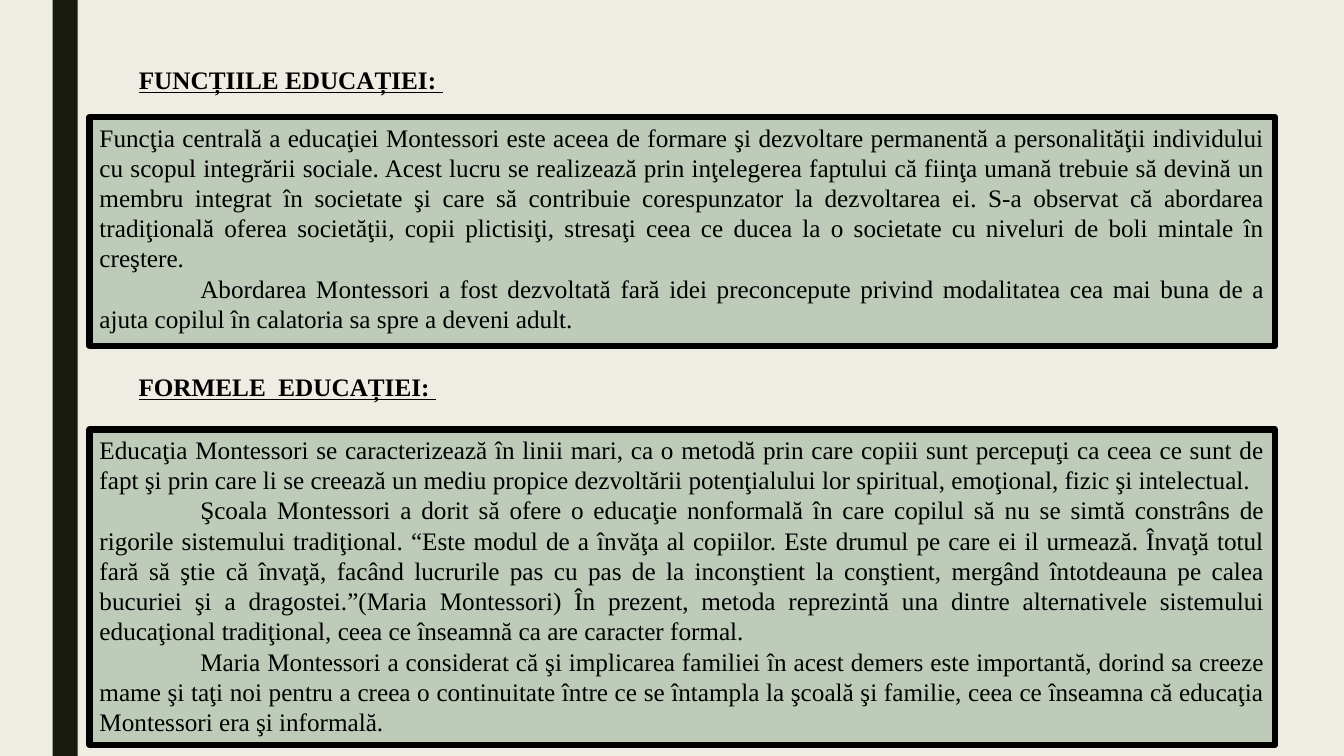
from pptx import Presentation
from pptx.dml.color import RGBColor
from pptx.enum import shapes, text
from pptx.oxml.ns import qn
from pptx.util import Pt
from lxml import etree

CREAM = RGBColor(0xEF, 0xED, 0xE3)
DARK = RGBColor(0x19, 0x1B, 0x0E)
SAGE = RGBColor(0x8D, 0xAB, 0x8E)
BLACK = RGBColor(0, 0, 0)

# heading, heading top, heading width, box top, box height, paragraphs
SECTIONS = [
    ("FUNCȚIILE EDUCAȚIEI: ", 42.5, 234, 83.5, 163.5, [
        "Funcţia centrală a educaţiei Montessori este aceea de formare şi dezvoltare permanentă a "
        "personalităţii individului cu scopul integrării sociale. Acest lucru se realizează prin "
        "inţelegerea faptului că fiinţa umană trebuie să devină un membru integrat în societate şi "
        "care să contribuie corespunzator la dezvoltarea ei. S-a observat că abordarea tradiţională "
        "oferea societăţii, copii plictisiţi, stresaţi ceea ce ducea la o societate cu niveluri de "
        "boli mintale în creştere.",
        "Abordarea Montessori a fost dezvoltată fară idei preconcepute privind modalitatea cea mai "
        "buna de a ajuta copilul în calatoria sa spre a deveni adult.",
    ]),
    ("FORMELE  EDUCAȚIEI: ", 262, 229, 306.7, 225.4, [
        "Educaţia Montessori se caracterizează în linii mari, ca o metodă prin care copiii sunt "
        "percepuţi ca ceea ce sunt de fapt şi prin care li se creează un mediu propice dezvoltării "
        "potenţialului lor spiritual, emoţional, fizic şi intelectual.",
        "Şcoala Montessori a dorit să ofere o educaţie nonformală în care copilul să nu se simtă "
        "constrâns de rigorile sistemului tradiţional. “Este modul de a învăţa al copiilor. Este "
        "drumul pe care ei il urmează. Învaţă totul fară să ştie că învaţă, facând lucrurile pas cu "
        "pas de la inconştient la conştient, mergând întotdeauna pe calea bucuriei şi a "
        "dragostei.”(Maria Montessori) În prezent, metoda reprezintă una dintre alternativele "
        "sistemului educaţional tradiţional, ceea ce înseamnă ca are caracter formal.",
        "Maria Montessori a considerat că şi implicarea familiei în acest demers este importantă, "
        "dorind sa creeze mame şi taţi noi pentru a creea o continuitate între ce se întampla la "
        "şcoală şi familie, ceea ce înseamna că educaţia Montessori era şi informală.",
    ]),
]


def add_rect(left, top, width, height, color):
    sp = slide.shapes.add_shape(shapes.MSO_SHAPE.RECTANGLE,
                                Pt(left), Pt(top), Pt(width), Pt(height))
    sp.shadow.inherit = False
    sp.fill.solid()
    sp.fill.fore_color.rgb = color
    sp.line.fill.background()
    return sp


def write(p, words, align, bold=False):
    p.text = words
    p.alignment = align
    font = p.runs[0].font
    font.name = "Times New Roman"
    font.size = Pt(18)
    font.color.rgb = BLACK
    font.bold = font.underline = bold


prs = Presentation()
prs.slide_width, prs.slide_height = Pt(960), Pt(540)
slide = prs.slides.add_slide(prs.slide_layouts[6])
slide.background.fill.solid()
slide.background.fill.fore_color.rgb = CREAM

add_rect(37.5, 0, 18, 540, DARK)

for heading, heading_top, heading_width, box_top, box_height, paragraphs in SECTIONS:
    box = add_rect(64, box_top, 846.7, box_height, SAGE)
    box.line.color.rgb = BLACK
    box.line.width = Pt(4.5)
    fill_color = box.fill._xPr.find(qn("a:solidFill"))[0]
    etree.SubElement(fill_color, qn("a:alpha"), val="50000")
    tf = box.text_frame
    tf.word_wrap = True
    tf.vertical_anchor = text.MSO_ANCHOR.TOP
    for i, words in enumerate(paragraphs):
        p = tf.add_paragraph() if i else tf.paragraphs[0]
        write(p, words, text.PP_ALIGN.JUSTIFY)
        if i:
            p._p.get_or_add_pPr().set("indent", str(Pt(72)))

    title = slide.shapes.add_textbox(Pt(90.7), Pt(heading_top), Pt(heading_width), Pt(29))
    title.text_frame.word_wrap = False
    write(title.text_frame.paragraphs[0], heading, text.PP_ALIGN.CENTER, bold=True)

prs.save("out.pptx")
